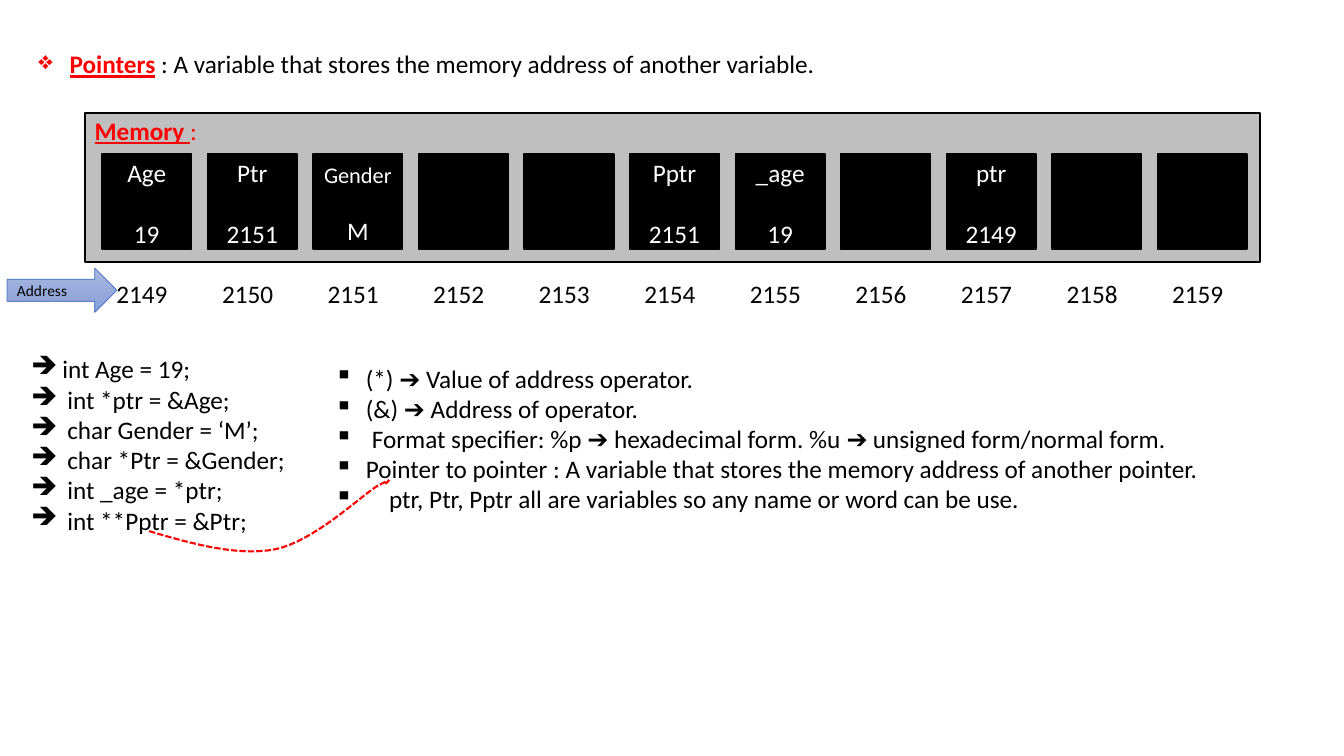
import lxml.etree
import pptx
import pptx.dml.color
import pptx.enum.dml
import pptx.enum.shapes
import pptx.enum.text
import pptx.oxml.ns
import pptx.util

Inches = pptx.util.Inches
ALIGN = pptx.enum.text.PP_ALIGN
ANCHOR = pptx.enum.text.MSO_ANCHOR
SHAPE = pptx.enum.shapes.MSO_SHAPE
STEP = 1.047
CELLS = [("Age", "19", 18), ("Ptr", "2151", 18), ("Gender", "M", 16), None, None,
         ("Pptr", "2151", 18), ("_age", "19", 18), None, ("ptr", "2149", 18), None, None]
CODE = [("int Age = 19;", 0.31), ("int *ptr = &Age;", 0.36),
        ("char Gender = ‘M’;", 0.36), ("char *Ptr = &Gender;", 0.36),
        ("int _age = *ptr;", 0.36), ("int **Pptr = &Ptr;", 0.36)]
NOTES = [("(*) ➔ Value of address operator.", 0.31),
         ("(&) ➔ Address of operator.", 0.31),
         ("Format specifier: %p ➔ hexadecimal form. %u ➔ unsigned form/normal form.", 0.37),
         ("Pointer to pointer : A variable that stores the memory address of another pointer.", 0.31),
         ("ptr, Ptr, Pptr all are variables so any name or word can be use.", 0.54)]
CURVE = [((1.48, 5.27), (1.92, 5.4), (2.36, 5.52), (2.73, 5.45)),
         ((2.73, 5.45), (3.11, 5.37), (3.56, 4.94), (3.73, 4.83)),
         ((3.73, 4.83), (3.91, 4.73), (3.86, 4.77), (3.81, 4.81))]


def paint(part, color):
    """Give a fill or a font a solid hex colour."""
    rgb = pptx.dml.color.RGBColor.from_string(color)
    if hasattr(part, "solid"):
        part.solid()
        part.fore_color.rgb = rgb
    else:
        part.color.rgb = rgb


def style(run, size=18, color="000000", strong=False):
    """Format a run, bold and underlined when strong."""
    font = run.font
    font.name, font.size = "Calibri", pptx.util.Pt(size)
    font.bold = font.underline = strong
    paint(font, color)


def add_run(para, text, **look):
    """Append a styled run to a paragraph."""
    run = para.add_run()
    run.text = text
    style(run, **look)


def add_child(node, tag, **attrs):
    """Append a drawing element to an XML node."""
    return lxml.etree.SubElement(node, pptx.oxml.ns.qn("a:" + tag), attrs)


def set_bullet(para, mark, indent):
    """Give a paragraph a hanging bullet."""
    props = para._p.get_or_add_pPr()
    props.set("marL", str(Inches(indent)))
    props.set("indent", str(-Inches(indent)))
    add_child(props, "buChar", char=mark)


def add_box(slide, kind, place, fill, line, width):
    """Add a filled and outlined preset shape."""
    box = slide.shapes.add_shape(kind, *map(Inches, place))
    box.shadow.inherit = False
    paint(box.fill, fill)
    paint(box.line.fill, line)
    box.line.width = pptx.util.Pt(width)
    return box


def add_text(slide, place):
    """Add a wrapping text box and return its frame."""
    frame = slide.shapes.add_textbox(*map(Inches, place)).text_frame
    frame.word_wrap = True
    return frame


def add_title(slide):
    """Fill the title with the definition line."""
    title = slide.shapes.title
    title.left, title.top, title.width, title.height = map(Inches, (0.28, 0.43, 7.93, 0.4))
    frame = title.text_frame
    frame.vertical_anchor = ANCHOR.TOP
    frame.auto_size = pptx.enum.text.MSO_AUTO_SIZE.NONE
    para = frame.paragraphs[0]
    para.alignment = ALIGN.LEFT
    set_bullet(para, "❖", 0.31)
    add_run(para, "Pointers", color="FF0000", strong=True)
    add_run(para, " : A variable that stores the memory address of another variable.")


def add_panel(slide):
    """Add the grey memory panel with its label."""
    frame = add_box(slide, SHAPE.RECTANGLE, (0.84, 1.12, 11.66, 1.48), "BFBFBF", "000000", 1.5).text_frame
    frame.vertical_anchor = ANCHOR.TOP
    frame.margin_top = Inches(0.02)
    para = frame.paragraphs[0]
    para.alignment = ALIGN.LEFT
    add_run(para, "Memory ", color="FF0000", strong=True)
    add_run(para, ":", color="FF0000")


def add_cell(slide, index, cell):
    """Add one memory cell with its name and value."""
    place = (1.01 + STEP * index, 1.53, 0.89, 0.94)
    frame = add_box(slide, SHAPE.RECTANGLE, place, "000000", "000000", 1).text_frame
    if cell is None:
        return
    name, value, size = cell
    frame.margin_left = frame.margin_right = Inches(0.05)
    frame.margin_top, frame.margin_bottom = Inches(0.03), 0
    frame.text = name + "\n" + value
    for para, points in zip(frame.paragraphs, (size, 18)):
        para.alignment = ALIGN.CENTER
        style(para.runs[0], points, "FFFFFF")
    frame.paragraphs[1].space_before = pptx.util.Pt(size * 1.22)


def add_row(slide):
    """Add the row of addresses on centred tab stops."""
    para = add_text(slide, (0.84, 2.71, 11.66, 0.4)).paragraphs[0]
    stops = add_child(para._p.get_or_add_pPr(), "tabLst")
    for index in range(len(CELLS)):
        add_child(stops, "tab", pos=str(Inches(0.47 + STEP * index)), algn="ctr")
    para.text = "".join(f"\t{2149 + index}" for index in range(len(CELLS)))
    for run in para.runs:
        style(run)


def add_arrow(slide):
    """Add the shaded arrow that points at the addresses."""
    arrow = add_box(slide, SHAPE.RIGHT_ARROW, (0.07, 2.66, 1.09, 0.44), "A8B7DF", "4472C4", 0.5)
    arrow.fill.gradient()
    arrow.fill.gradient_angle = 270
    for stop, color in zip(arrow.fill.gradient_stops, ("A8B7DF", "889ED7")):
        paint(stop, color)
    para = arrow.text_frame.paragraphs[0]
    para.alignment = ALIGN.LEFT
    add_run(para, "Address", size=11)


def add_list(slide, place, mark, items):
    """Add a bulleted list of text and indent pairs."""
    frame = add_text(slide, place)
    frame.text = "\n".join(text for text, _ in items)
    for para, (_, indent) in zip(frame.paragraphs, items):
        set_bullet(para, mark, indent)
        style(para.runs[0])


def find_point(curve, t):
    """Return the point at t on a cubic curve."""
    rates = ((1 - t) ** 3, 3 * t * (1 - t) ** 2, 3 * t * t * (1 - t), t ** 3)
    return tuple(Inches(sum(r * p[axis] for r, p in zip(rates, curve))) for axis in (0, 1))


def add_curve(slide):
    """Add the dashed red curve between the lists."""
    points = [find_point(curve, step / 16) for curve in CURVE for step in range(17)]
    form = slide.shapes.build_freeform(*points[0])
    form.add_line_segments(points[1:], close=False)
    curve = form.convert_to_shape()
    curve.shadow.inherit = False
    curve.fill.background()
    paint(curve.line.fill, "FF0000")
    curve.line.width = pptx.util.Pt(1.5)
    curve.line.dash_style = pptx.enum.dml.MSO_LINE.SQUARE_DOT


def main():
    """Build and save the slide."""
    deck = pptx.Presentation()
    deck.slide_width, deck.slide_height = Inches(13.33), Inches(7.5)
    slide = deck.slides.add_slide(deck.slide_layouts[5])
    add_title(slide)
    add_panel(slide)
    for index, cell in enumerate(CELLS):
        add_cell(slide, index, cell)
    add_row(slide)
    add_arrow(slide)
    add_list(slide, (0.21, 3.46, 2.76, 1.92), "➔", CODE)
    add_list(slide, (3.22, 3.55, 8.87, 1.62), "▪", NOTES)
    add_curve(slide)
    deck.save("out.pptx")


if __name__ == "__main__":
    main()
